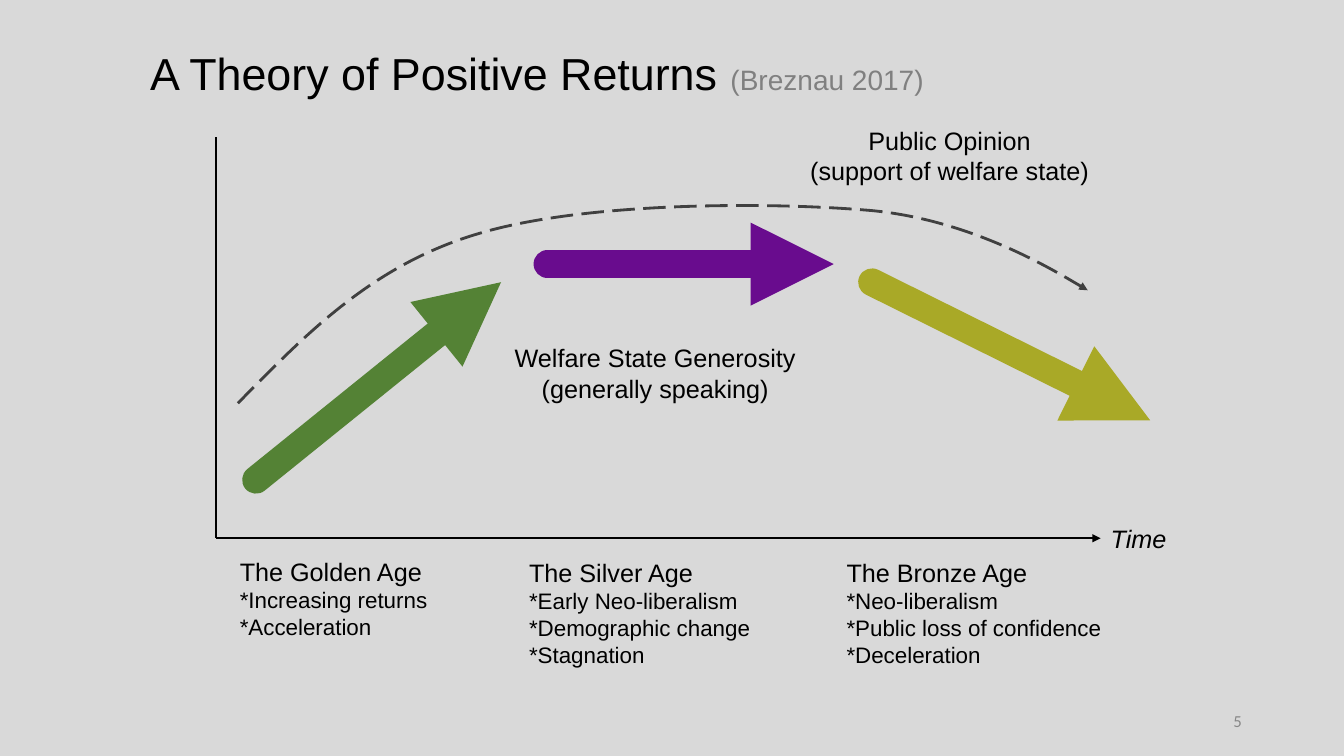
from lxml import etree
from pptx import Presentation
from pptx.dml.color import RGBColor
from pptx.enum.dml import MSO_LINE
from pptx.enum.shapes import MSO_CONNECTOR
from pptx.enum.text import MSO_ANCHOR, MSO_AUTO_SIZE, PP_ALIGN
from pptx.oxml.ns import qn
from pptx.util import Inches, Pt

LEFT, MID, RIGHT = PP_ALIGN.LEFT, PP_ALIGN.CENTER, PP_ALIGN.RIGHT
TOP, HALF = MSO_ANCHOR.TOP, MSO_ANCHOR.MIDDLE
FIXED = MSO_AUTO_SIZE.NONE
STRAIGHT = MSO_CONNECTOR.STRAIGHT
DASH = MSO_LINE.LONG_DASH
BLACK, GREY = "000000", "808080"


def tint(code):
    return RGBColor.from_string(code)


class Board:
    """Draws on one slide, with lengths in a grid of 100 columns and 100 rows."""

    font = "Arial"

    def __init__(self, deck):
        self.col = deck.slide_width / 100
        self.row = deck.slide_height / 100
        self.slide = deck.slides.add_slide(deck.slide_layouts[5])
        self.shapes = self.slide.shapes

    def ground(self, code):
        fill = self.slide.background.fill
        fill.solid()
        fill.fore_color.rgb = tint(code)

    def spot(self, x, y):
        return round(x * self.col), round(y * self.row)

    def style(self, font, size, code):
        font.size = Pt(size)
        font.color.rgb = tint(code)

    def title(self, box, parts):
        head = self.shapes.title
        head.left, head.top = self.spot(*box[:2])
        head.width, head.height = self.spot(*box[2:])
        frame = head.text_frame
        frame.auto_size = FIXED
        frame.vertical_anchor = TOP
        para = frame.paragraphs[0]
        para.alignment = LEFT
        para.font.name = self.font
        for words, size, code in parts:
            run = para.add_run()
            run.text = words
            self.style(run.font, size, code)

    def text(self, box, lines, sizes=(18, 18), align=LEFT, code=BLACK,
             font=font, slant=False, anchor=TOP):
        area = self.shapes.add_textbox(*self.spot(*box[:2]), *self.spot(*box[2:]))
        frame = area.text_frame
        frame.word_wrap = True
        frame.vertical_anchor = anchor
        for n, words in enumerate(lines):
            para = frame.add_paragraph() if n else frame.paragraphs[0]
            para.text = words
            para.alignment = align
            para.font.name = font
            para.font.italic = slant
            self.style(para.font, sizes[min(n, 1)], code)

    def pen(self, line, code, width, tip=True, cap="flat"):
        line.color.rgb = tint(code)
        line.width = Pt(width)
        edge = line._get_or_add_ln()
        edge.set("cap", cap)
        if tip:
            etree.SubElement(edge, qn("a:tailEnd"), type="triangle")

    def line(self, start, end, code, width, **kind):
        link = self.shapes.add_connector(STRAIGHT, *self.spot(*start), *self.spot(*end))
        self.pen(link.line, code, width, **kind)
        etree.SubElement(link._element.spPr, qn("a:effectLst"))

    def curve(self, points, code, width):
        spots = [self.spot(*point) for point in points]
        form = self.shapes.build_freeform(*spots[0])
        form.add_line_segments(spots[1:], close=False)
        arc = form.convert_to_shape()
        arc.shadow.inherit = False
        arc.fill.background()
        arc.line.dash_style = DASH
        self.pen(arc.line, code, width)
        route = next(arc._element.iter(qn("a:path")))
        steps = route.findall(qn("a:lnTo"))
        for n in range(0, len(steps), 3):
            bend = etree.SubElement(route, qn("a:cubicBezTo"))
            for step in steps[n:n + 3]:
                bend.append(step[0])
                route.remove(step)


def main():
    deck = Presentation()
    deck.slide_width, deck.slide_height = Inches(13.33), Inches(7.5)
    board = Board(deck)
    board.ground("D9D9D9")
    board.title((10.43, 5.33, 73.43, 8.53), [
        ("A Theory of Positive Returns ", 32, BLACK),
        ("(Breznau 2017)", 20, GREY),
    ])
    board.text((70.65, 92.67, 22.5, 5.33), ["5"], (12, 12), RIGHT, "888888",
               "Calibri", anchor=HALF)

    trends = [
        ((19.05, 63.47), (37.28, 37.33), "548235"),
        ((40.73, 34.93), (62.03, 34.93), "690C8E"),
        ((64.88, 37.33), (85.58, 55.6), "A9A927"),
    ]
    for start, end, code in trends:
        board.line(start, end, code, 19.75, cap="rnd")

    board.curve([
        (17.7, 53.33),
        (22.73, 44.27), (27.68, 35.07), (35.55, 30.93),
        (43.43, 26.67), (57.38, 26.67), (64.95, 27.87),
        (72.53, 29.2), (80.93, 38.4), (80.93, 38.4),
    ], "404040", 2)

    labels = [
        (56.33, 15.87, "Public Opinion", "(support of welfare state)"),
        (34.43, 44.67, "Welfare State Generosity", "(generally speaking)"),
    ]
    for x, y, *lines in labels:
        board.text((x, y, 28.65, 9.47), lines, align=MID)

    ages = [
        (17.1, 72.93, 17.93, "The Golden Age",
         "*Increasing returns", "*Acceleration"),
        (38.63, 73.07, 20.78, "The Silver Age",
         "*Early Neo-liberalism", "*Demographic change", "*Stagnation"),
        (62.25, 73.07, 25.95, "The Bronze Age",
         "*Neo-liberalism", "*Public loss of confidence", "*Deceleration"),
    ]
    for x, y, wide, *lines in ages:
        board.text((x, y, wide, 1.33 + 3.7 * len(lines)), lines, (18, 16))

    base = (16.05, 71.2)
    board.line((16.05, 18.13), base, BLACK, 1.5, tip=False)
    board.line(base, (81.9, 71.2), BLACK, 1.5)
    board.text((81.9, 68.53, 7.8, 5.33), ["Time"], slant=True)
    deck.save("out.pptx")


if __name__ == "__main__":
    main()
